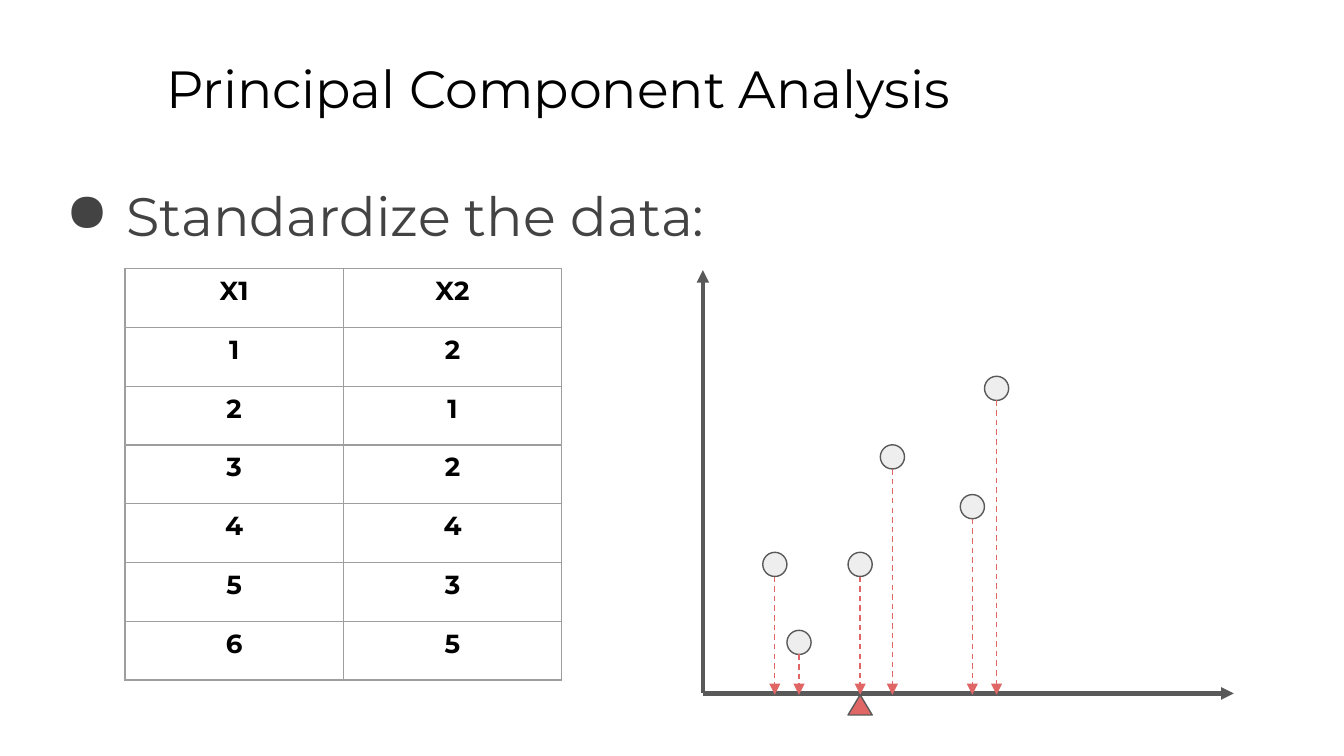
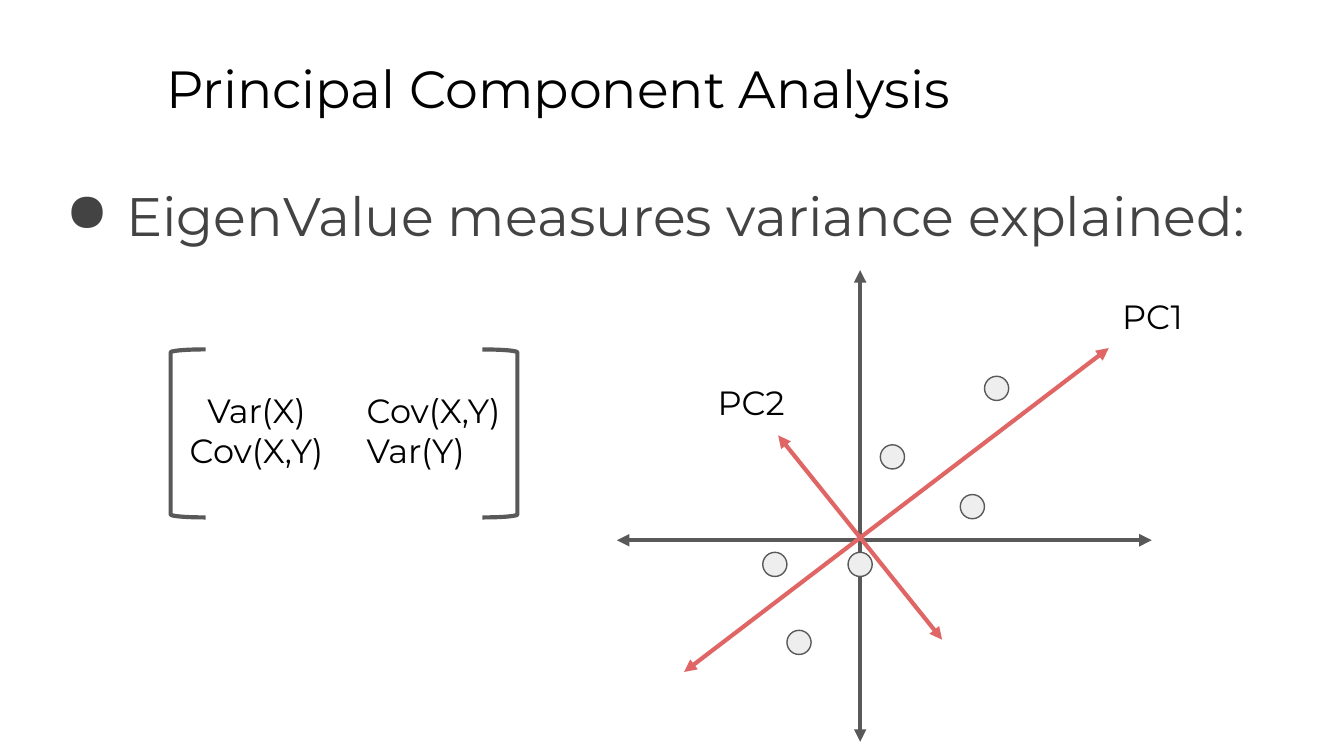
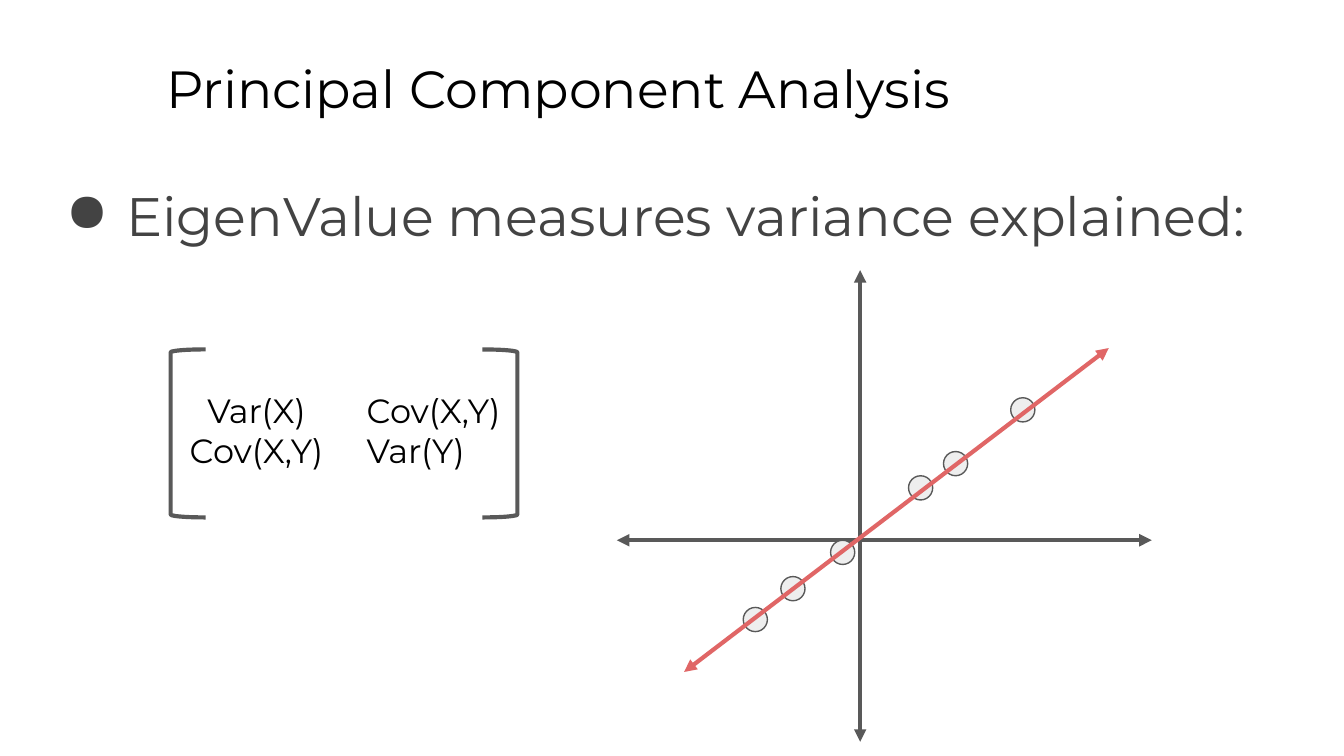
import lxml.etree
import pptx
import pptx.dml.color
import pptx.enum.dml
import pptx.enum.shapes
import pptx.enum.text
import pptx.oxml.ns
import pptx.util

COLORS = {
    "background": "FFFFFF",
    "title": "000000",
    "body": "434343",
    "axis": "595959",
    "point": "EEEEEE",
    "accent": "E06666",
    "border": "9E9E9E",
}
FONT = "Montserrat"
COLUMNS, ROWS = 100, 56.25
POINT_SIZE = 1.8
THICK, THIN = 2.25, 0.75
PRESETS = pptx.enum.shapes.MSO_SHAPE

# Data and positions, in grid columns and rows
SAMPLES = [("X1", "X2"), (1, 2), (2, 1), (3, 2), (4, 4), (5, 3), (6, 5)]
DATA_POINTS = [(57.65, 42), (66.4, 34), (72.35, 37.7), (64, 42), (59.45, 47.8), (74.15, 28.9)]
PROJECTED_POINTS = [(59, 43.8), (68.5, 36.3), (71.1, 34.5), (62.7, 41.1), (56.2, 46.1), (76.1, 30.5)]
MEAN_X = 64
AXIS_TOP = 20.1
EIGENVALUE_TEXT = "EigenValue measures variance explained:"


def color(name):
    return pptx.dml.color.RGBColor.from_string(COLORS[name])


def add_xml(parent, tag, **attributes):
    return lxml.etree.SubElement(parent, pptx.oxml.ns.qn("a:" + tag), **attributes)


class Deck:
    """Holds the style and the current slide."""

    def __init__(self):
        self.presentation = pptx.Presentation()
        self.presentation.slide_width = pptx.util.Inches(10)
        self.presentation.slide_height = self.presentation.slide_width * 9 // 16
        self.slide = None

    def x(self, columns):
        return round(self.presentation.slide_width * columns / COLUMNS)

    def y(self, rows):
        return round(self.presentation.slide_height * rows / ROWS)

    def box(self, left, top, width, height):
        return self.x(left), self.y(top), self.x(width), self.y(height)

    def new_slide(self, bullet):
        self.slide = self.presentation.slides.add_slide(self.presentation.slide_layouts[6])
        fill = self.slide.background.fill
        fill.solid()
        fill.fore_color.rgb = color("background")
        self.text("Principal Component Analysis", (11.4, 3.2, 85.2, 6.3), 28)
        paragraph = self.text(bullet, (3.4, 12.6, 95, 37.4), 29, "body")[0]
        self.bullet(paragraph)

    def style_runs(self, paragraph, size, color_name="title", bold=False):
        for run in paragraph.runs:
            run.font.name = FONT
            run.font.size = pptx.util.Pt(size)
            run.font.bold = bold
            run.font.color.rgb = color(color_name)

    def text(self, text, box, size, color_name="title"):
        text_frame = self.slide.shapes.add_textbox(*self.box(*box)).text_frame
        text_frame.word_wrap = True
        text_frame.margin_left = text_frame.margin_right = pptx.util.Inches(0.1)
        text_frame.margin_top = text_frame.margin_bottom = pptx.util.Inches(0.1)
        text_frame.text = text
        for paragraph in text_frame.paragraphs:
            self.style_runs(paragraph, size, color_name)
        return text_frame.paragraphs

    def bullet(self, paragraph):
        properties = paragraph._p.get_or_add_pPr()
        properties.set("marL", str(self.x(5)))
        properties.set("indent", str(-self.x(4.5)))
        add_xml(add_xml(properties, "buClr"), "srgbClr", val=COLORS["body"])
        add_xml(properties, "buChar", char="●")

    def line(self, start, end, color_name="axis", width=THICK, dashed=False, both_ends=False):
        connector = self.slide.shapes.add_connector(
            pptx.enum.shapes.MSO_CONNECTOR.STRAIGHT,
            self.x(start[0]), self.y(start[1]), self.x(end[0]), self.y(end[1]))
        connector.line.width = pptx.util.Pt(width)
        connector.line.color.rgb = color(color_name)
        if dashed:
            connector.line.dash_style = pptx.enum.dml.MSO_LINE.DASH
        line_properties = connector.line._get_or_add_ln()
        if both_ends:
            add_xml(line_properties, "headEnd", type="triangle")
        add_xml(line_properties, "tailEnd", type="triangle")
        add_xml(connector._element.spPr, "effectLst")

    def shape(self, preset, box, fill=None, width=THIN):
        shape = self.slide.shapes.add_shape(preset, *self.box(*box))
        shape.shadow.inherit = False
        if fill:
            shape.fill.solid()
            shape.fill.fore_color.rgb = color(fill)
        else:
            shape.fill.background()
        shape.line.color.rgb = color("axis")
        shape.line.width = pptx.util.Pt(width)

    def points(self, centers):
        for x, y in centers:
            self.shape(PRESETS.OVAL,
                       (x - POINT_SIZE / 2, y - POINT_SIZE / 2, POINT_SIZE, POINT_SIZE), "point")

    def table(self, rows, box):
        table = self.slide.shapes.add_table(len(rows), len(rows[0]), *self.box(*box)).table
        table.first_row = table.horz_banding = False
        for row_index, values in enumerate(rows):
            for column_index, value in enumerate(values):
                cell = table.cell(row_index, column_index)
                cell.text = str(value)
                paragraph = cell.text_frame.paragraphs[0]
                paragraph.alignment = pptx.enum.text.PP_ALIGN.CENTER
                self.style_runs(paragraph, 14, bold=True)
                self.borders(cell)
                cell.fill.background()

    def borders(self, cell):
        properties = cell._tc.get_or_add_tcPr()
        for side in ("lnL", "lnR", "lnT", "lnB"):
            border = add_xml(properties, side, w=str(pptx.util.Pt(THIN)))
            add_xml(add_xml(border, "solidFill"), "srgbClr", val=COLORS["border"])

    def centered_axes(self):
        self.line((MEAN_X, 55.2), (MEAN_X, AXIS_TOP), both_ends=True)
        self.line((45.9, 40.2), (85.7, 40.2), both_ends=True)

    def covariance_matrix(self):
        entries = "\tVar(X)\tCov(X,Y)\n\tCov(X,Y)\tVar(Y)"
        for paragraph in self.text(entries, (11.9, 28, 28.8, 8), 18):
            tabs = add_xml(paragraph._p.get_or_add_pPr(), "tabLst")
            for column, alignment in ((6.2, "ctr"), (14.4, "l")):
                add_xml(tabs, "tab", pos=str(self.x(column)), algn=alignment)
        for preset, left in ((PRESETS.LEFT_BRACKET, 12.7), (PRESETS.RIGHT_BRACKET, 35.9)):
            self.shape(preset, (left, 26, 2.6, 12.5), width=THICK)

    def component(self, start, end):
        self.line(start, end, "accent", both_ends=True)

    def first_component(self):
        self.component((50.9, 50), (82.5, 25.9))


def standardize_slide(deck):
    deck.new_slide("Standardize the data:")
    deck.table(SAMPLES, (9.3, 20, 32.5, 30.6))
    # Axes from the lower left corner
    origin = (52.3, 51.6)
    deck.line(origin, (origin[0], AXIS_TOP))
    deck.line(origin, (91.8, origin[1]))
    # Points dropped onto the horizontal axis
    deck.points(DATA_POINTS)
    for x, y in DATA_POINTS:
        deck.line((x, y + POINT_SIZE / 2), (x, 51.7), "accent", THIN, dashed=True)
    # Mean marker
    deck.shape(PRESETS.ISOSCELES_TRIANGLE,
               (MEAN_X - POINT_SIZE / 2, 51.7, POINT_SIZE, 1.5), "accent")


def components_slide(deck):
    deck.new_slide(EIGENVALUE_TEXT)
    deck.centered_axes()
    deck.points(DATA_POINTS)
    deck.covariance_matrix()
    # Both components with labels
    deck.first_component()
    deck.component((70.1, 47.6), (57.9, 32.4))
    deck.text("PC1", (82.5, 21, 6.8, 5), 18)
    deck.text("PC2", (52.4, 27.4, 7.9, 5), 18)


def projection_slide(deck):
    deck.new_slide(EIGENVALUE_TEXT)
    deck.centered_axes()
    deck.points(PROJECTED_POINTS)
    deck.covariance_matrix()
    deck.first_component()


def main():
    deck = Deck()
    standardize_slide(deck)
    components_slide(deck)
    projection_slide(deck)
    deck.presentation.save("out.pptx")


if __name__ == "__main__":
    main()
